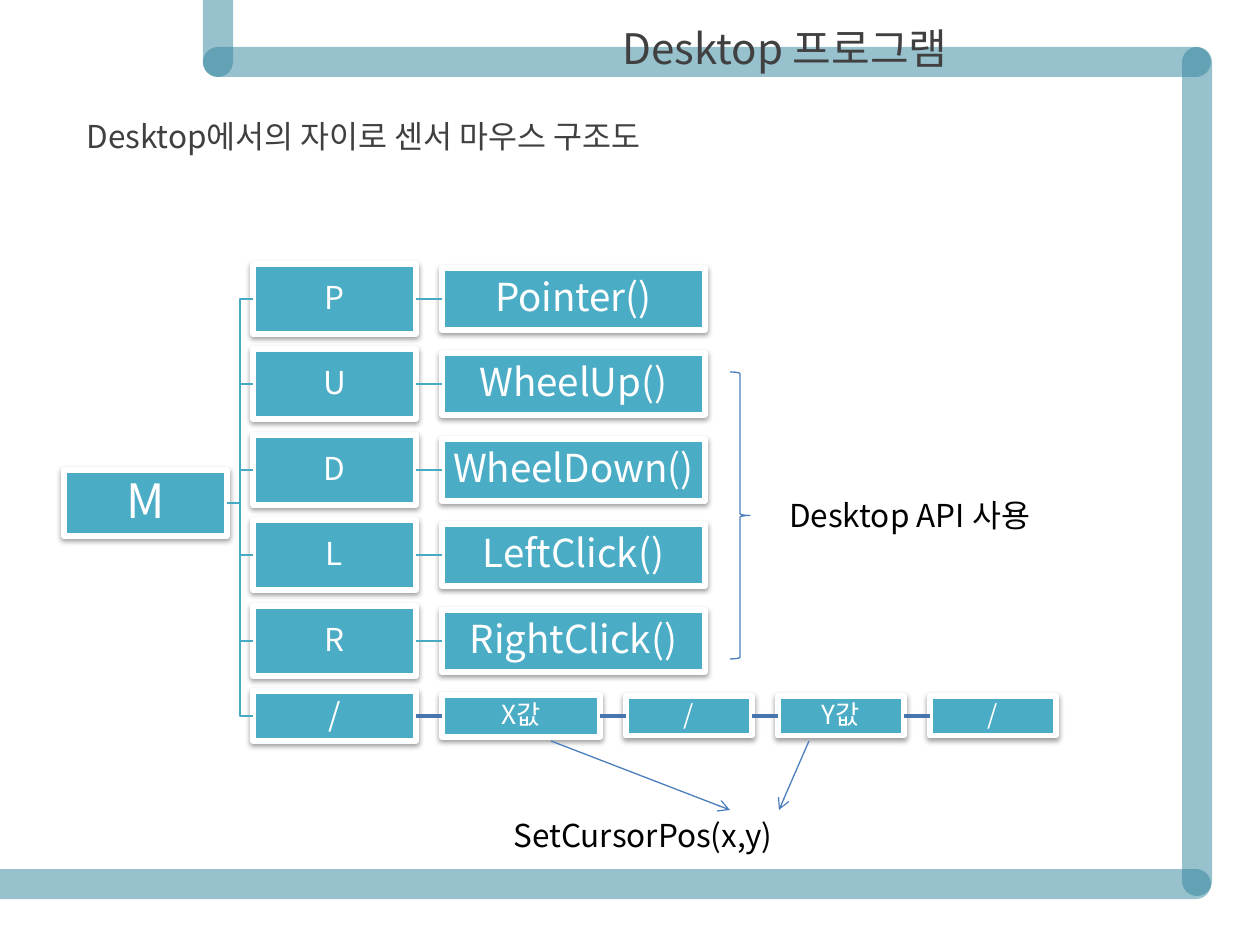
from itertools import pairwise

from pptx import Presentation
from pptx.dml.color import RGBColor
from pptx.enum.shapes import MSO_CONNECTOR as Connector, MSO_SHAPE as Shape
from pptx.enum.text import MSO_ANCHOR as Anchor, MSO_AUTO_SIZE as AutoSize, PP_ALIGN as Align
from pptx.oxml.ns import qn
from pptx.oxml.xmlchemy import OxmlElement
from pptx.util import Emu, Pt

EMU_PER_PX = 914400 / 126
FONT = "Noto Sans CJK KR"
COLORS = {
    "frame": "31859C",
    "box": "4BACC6",
    "white": "FFFFFF",
    "branch": "46AAC5",
    "chain": "4875AC",
    "note": "4B7EBC",
    "heading": "404040",
    "text": "000000",
}
LEFT_SITE, RIGHT_SITE = 1, 3  # connection sites of a rectangle

# Diagram grid
GAP = 26
ROOT_LEFT, ROOT_WIDTH, ROOT_CENTER = 64, 163, 503
CODE_LEFT = ROOT_LEFT + ROOT_WIDTH + GAP
CODE_WIDTH = 163
FUNCTION_LEFT = CODE_LEFT + CODE_WIDTH + GAP
FIRST_ROW, TWO_ROWS, LAST_ROW = 299, 171, 716

COMMANDS = [
    ("P", "Pointer()"),
    ("U", "WheelUp()"),
    ("D", "WheelDown()"),
    ("L", "LeftClick()"),
    ("R", "RightClick()"),
]
# text, width, height, font size
PACKET = [
    ("/", CODE_WIDTH, 50, 18),
    ("X값", 158, 42, 15),
    ("/", 126, 40, 15),
    ("Y값", 126, 40, 15),
    ("/", 126, 40, 15),
]
FRAME_BARS = [(203, -29, 30, 106), (203, 47, 1008, 30), (1182, 47, 30, 849), (-28, 869, 1239, 30)]


def px(*lengths):
    return [Emu(round(length * EMU_PER_PX)) for length in lengths]


def rgb(name):
    return RGBColor.from_string(COLORS[name])


def add_child(parent, tag, **attributes):
    child = OxmlElement(tag)
    for name, value in attributes.items():
        child.set(name, str(value))
    parent.append(child)
    return child


def set_line(shape, color, width):
    shape.line.color.rgb = rgb(color)
    shape.line.width = Pt(width)


def write(shape, text, size, color, align=Align.LEFT):
    paragraph = shape.text_frame.paragraphs[0]
    paragraph.alignment = align
    run = paragraph.add_run()
    run.text = text
    run.font.size = Pt(size)
    run.font.name = FONT
    run.font.color.rgb = rgb(color)
    add_child(run.font._element, "a:ea", typeface=FONT)
    return paragraph


def add_bar(slide, bounds):
    bar = slide.shapes.add_shape(Shape.ROUNDED_RECTANGLE, *px(*bounds))
    bar.adjustments[0] = 0.5
    bar.shadow.inherit = False
    bar.fill.solid()
    bar.fill.fore_color.rgb = rgb("frame")
    add_child(bar._element.spPr.find(".//" + qn("a:srgbClr")), "a:alpha", val=50000)
    bar.line.fill.background()


def add_box(slide, text, left, center, width, height, size):
    box = slide.shapes.add_shape(Shape.RECTANGLE, *px(left, center - height // 2, width, height))
    box.fill.solid()
    box.fill.fore_color.rgb = rgb("box")
    set_line(box, "white", 3)
    # Soft shadow below the box
    box.shadow.inherit = False
    effects = box._element.spPr.find(qn("a:effectLst"))
    shadow = add_child(effects, "a:outerShdw", blurRad=40000, dist=20000, dir=5400000, rotWithShape=0)
    add_child(add_child(shadow, "a:srgbClr", val=COLORS["text"]), "a:alpha", val=38000)

    frame = box.text_frame
    frame.word_wrap = True
    frame.vertical_anchor = Anchor.MIDDLE
    frame.margin_left, frame.margin_top, frame.margin_right, frame.margin_bottom = px(2, 2, 2, 2)
    write(box, text, size, "white", Align.CENTER).line_spacing = 0.9
    return box


def add_line(slide, kind, points, color, width):
    line = slide.shapes.add_connector(kind, *px(*points))
    set_line(line, color, width)
    add_child(line._element.spPr, "a:effectLst")
    return line


def link(slide, source, target, kind=Connector.STRAIGHT, color="branch", width=0.75):
    line = add_line(slide, kind, (0, 0, 0, 0), color, width)
    line.begin_connect(source, RIGHT_SITE)
    line.end_connect(target, LEFT_SITE)


def add_arrow(slide, points):
    arrow = add_line(slide, Connector.STRAIGHT, points, "note", 0.75)
    add_child(arrow.line._get_or_add_ln(), "a:tailEnd", type="arrow")


def add_label(slide, text, bounds, color="text", align=Align.LEFT):
    label = slide.shapes.add_textbox(*px(*bounds))
    label.text_frame.word_wrap = True
    write(label, text, 18, color, align)


def set_title(slide, text, bounds):
    title = slide.shapes.title
    title.left, title.top, title.width, title.height = px(*bounds)
    title.text_frame.word_wrap = True
    title.text_frame.auto_size = AutoSize.NONE
    title.text_frame.vertical_anchor = Anchor.TOP
    write(title, text, 24, "heading")
    slide.shapes._spTree.append(title._element)  # in front of the frame


def add_command_tree(slide):
    root = add_box(slide, "M", ROOT_LEFT, ROOT_CENTER, ROOT_WIDTH, 66, 27)

    # One row per command: code and function
    for row, (code, function) in enumerate(COMMANDS):
        center = FIRST_ROW + row * TWO_ROWS // 2
        code_box = add_box(slide, code, CODE_LEFT, center, CODE_WIDTH, 70, 18)
        function_box = add_box(slide, function, FUNCTION_LEFT, center, 263, 62, 22)
        link(slide, root, code_box, Connector.ELBOW)
        link(slide, code_box, function_box)

    # Coordinate packet in the last row
    boxes = []
    left = CODE_LEFT
    for text, width, height, size in PACKET:
        boxes.append(add_box(slide, text, left, LAST_ROW, width, height, size))
        left += width + GAP
    link(slide, root, boxes[0], Connector.ELBOW)
    for source, target in pairwise(boxes):
        link(slide, source, target, color="chain", width=2)


def add_notes_on_calls(slide):
    brace = slide.shapes.add_shape(Shape.RIGHT_BRACE, *px(730, 372, 20, 287))
    brace.shadow.inherit = False
    brace.fill.background()
    set_line(brace, "note", 0.75)
    add_label(slide, "Desktop API 사용", (743, 490, 333, 50), align=Align.CENTER)
    add_label(slide, "SetCursorPos(x,y)", (501, 810, 392, 50))
    for points in [(551, 741, 730, 810), (809, 741, 779, 810)]:
        add_arrow(slide, points)


def main():
    presentation = Presentation()
    presentation.slide_width, presentation.slide_height = px(1260, 945)
    slide = presentation.slides.add_slide(presentation.slide_layouts[5])

    for bounds in FRAME_BARS:
        add_bar(slide, bounds)
    set_title(slide, "Desktop 프로그램", (610, 16, 438, 63))
    add_label(slide, "Desktop에서의 자이로 센서 마우스 구조도", (74, 111, 735, 50), "heading")
    add_command_tree(slide)
    add_notes_on_calls(slide)

    presentation.save("out.pptx")


if __name__ == "__main__":
    main()
